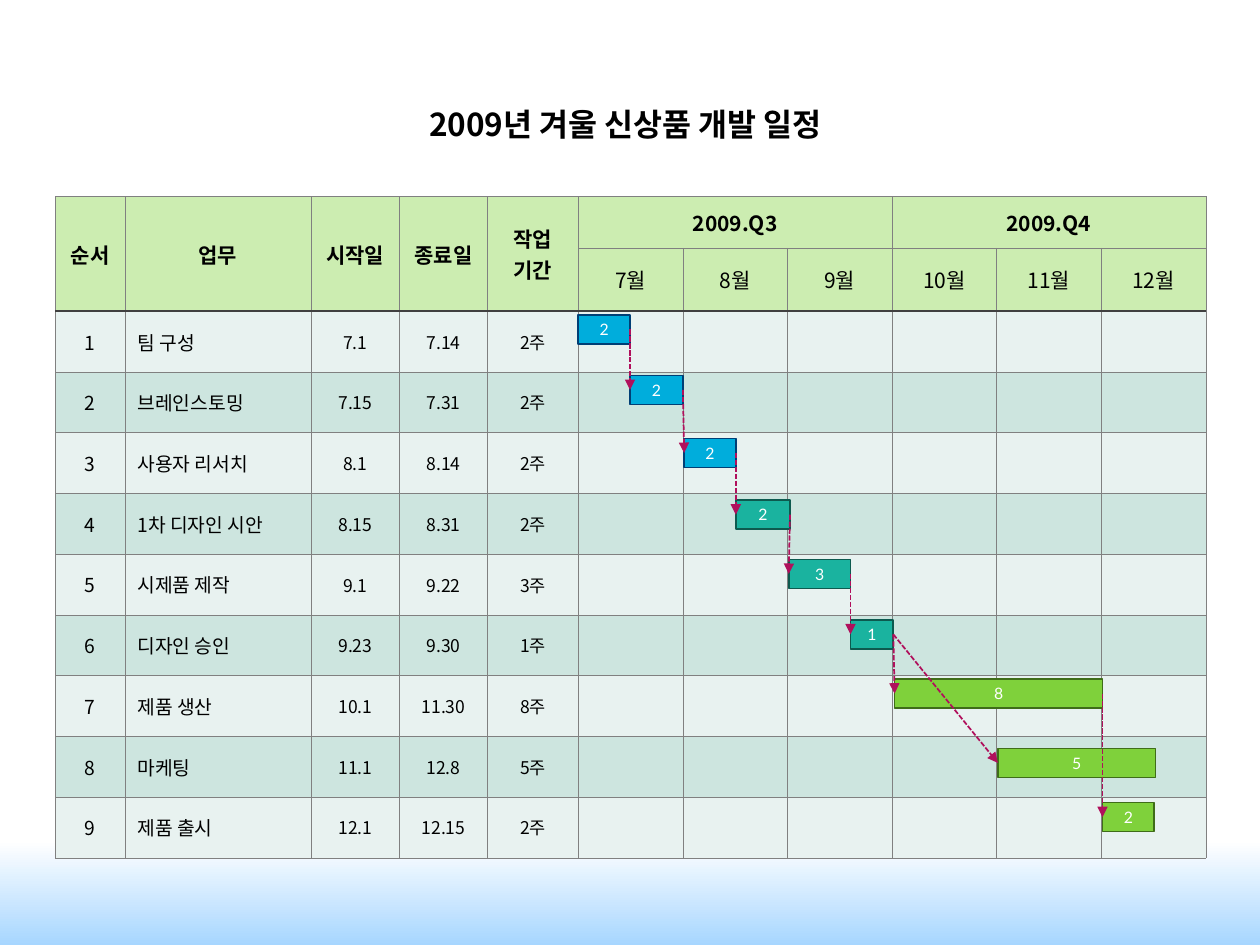
from dataclasses import dataclass
from typing import Any

from lxml import etree
from pptx import Presentation
from pptx import util as u
from pptx.dml.color import RGBColor
from pptx.enum import dml, shapes, text
from pptx.oxml import ns

COLORS = {
    "black": "000000", "white": "FFFFFF", "sky": "A7D6FF",
    "header": "CCEDB1", "light": "E8F2F0", "dark": "CDE5DF",
    "grid": "808080", "rule": "404040", "link": "B0105C",
    "plan": "00ADDC", "plan_edge": "003F75",
    "design": "1AB39F", "design_edge": "0D5A4F",
    "launch": "7FD13B", "launch_edge": "3F6D19",
}
TASKS = [
    ("팀 구성", "7.1", "7.14", 2),
    ("브레인스토밍", "7.15", "7.31", 2),
    ("사용자 리서치", "8.1", "8.14", 2),
    ("1차 디자인 시안", "8.15", "8.31", 2),
    ("시제품 제작", "9.1", "9.22", 3),
    ("디자인 승인", "9.23", "9.30", 1),
    ("제품 생산", "10.1", "11.30", 8),
    ("마케팅", "11.1", "12.8", 5),
    ("제품 출시", "12.1", "12.15", 2),
]
HEADINGS = [["순서"], ["업무"], ["시작일"], ["종료일"], ["작업", "기간"]]
QUARTERS = ["2009.Q3", "2009.Q4"]
MONTHS = ["7월", "8월", "9월", "10월", "11월", "12월"]
COLUMNS = [0.55, 1.48, 0.7, 0.7, 0.72] + [0.83] * len(MONTHS)
HEADER_ROW = 0.41
TABLE_HEIGHT = 5.16
BARS = [
    (4.59, 2.5, 0.41), (5, 2.98, 0.42), (5.43, 3.48, 0.41),
    (5.84, 3.97, 0.43), (6.26, 4.44, 0.49), (6.75, 4.92, 0.34),
    (7.1, 5.39, 1.65), (7.92, 5.94, 1.25), (8.75, 6.37, 0.41),
]
PHASES = ["plan", "design", "launch"]
LINKS = [(step, step + 1) for step in range(6)] + [(5, 7), (6, 8)]


def rgb(name):
    return RGBColor.from_string(COLORS[name])


@dataclass
class Schedule:
    page: Any
    font: str = "Noto Sans CJK KR"
    bar_font: str = "Lato"

    def background(self):
        fill = self.page.background.fill
        fill.gradient()
        fill.gradient_angle = 270
        for stop, place, color in zip(fill.gradient_stops, (0.89, 1), ("white", "sky")):
            stop.position = place
            stop.color.rgb = rgb(color)

    def add_text(self, frame, lines, size, color="black", bold=False, centered=True, font=None):
        font = font or self.font
        for index, line in enumerate(lines):
            para = frame.add_paragraph() if index else frame.paragraphs[0]
            para.alignment = text.PP_ALIGN.CENTER if centered else text.PP_ALIGN.LEFT
            span = para.add_run()
            span.text = line
            span.font.size = u.Pt(size)
            span.font.bold = bold
            span.font.name = font
            span.font.color.rgb = rgb(color)
            east = etree.SubElement(span.font._element, ns.qn("a:ea"))
            east.set("typeface", font)

    def title(self, words):
        box = self.page.shapes.title
        box.left, box.top, box.width, box.height = map(u.Inches, (2.58, 0.78, 4.77, 0.4))
        frame = box.text_frame
        frame.word_wrap = True
        frame.vertical_anchor = text.MSO_ANCHOR.TOP
        frame.auto_size = text.MSO_AUTO_SIZE.SHAPE_TO_FIT_TEXT
        self.add_text(frame, [words], 18, bold=True)

    def borders(self, cell, top, bottom):
        properties = cell._tc.get_or_add_tcPr()
        for side, color in (("L", "grid"), ("R", "grid"), ("T", top), ("B", bottom)):
            edge = etree.SubElement(properties, ns.qn(f"a:ln{side}"))
            edge.set("w", str(u.Pt(1 if color == "rule" else 0.25)))
            fill = etree.SubElement(edge, ns.qn("a:solidFill"))
            etree.SubElement(fill, ns.qn("a:srgbClr")).set("val", COLORS[color])

    def table(self):
        row_count = len(TASKS) + 2
        grid = self.page.shapes.add_table(
            row_count, len(COLUMNS), u.Inches(0.44), u.Inches(1.56),
            u.Inches(sum(COLUMNS)), u.Inches(TABLE_HEIGHT)).table
        grid.first_row = grid.horz_banding = False
        for column, width in zip(grid.columns, COLUMNS):
            column.width = u.Inches(width)
        task_row = (TABLE_HEIGHT - 2 * HEADER_ROW) / len(TASKS)
        for index, row in enumerate(grid.rows):
            row.height = u.Inches(HEADER_ROW if index < 2 else task_row)
            for column, cell in enumerate(row.cells):
                heading = index == 1 or (index == 0 and column < len(HEADINGS))
                self.borders(cell, "rule" if index == 2 else "grid",
                             "rule" if heading else "grid")
                cell.fill.solid()
                cell.fill.fore_color.rgb = rgb(
                    "header" if index < 2 else ("light", "dark")[index % 2])
                cell.vertical_anchor = text.MSO_ANCHOR.MIDDLE
        self.headings(grid)
        for index, (task, start, end, weeks) in enumerate(TASKS):
            values = [str(index + 1), task, start, end, f"{weeks}주"]
            for column, value in enumerate(values):
                self.add_text(grid.cell(index + 2, column).text_frame, [value],
                              11 if column < 2 else 10, centered=column != 1)

    def headings(self, grid):
        for column, lines in enumerate(HEADINGS):
            cell = grid.cell(0, column)
            cell.merge(grid.cell(1, column))
            self.add_text(cell.text_frame, lines, 12, bold=True)
        first = len(HEADINGS)
        for index, quarter in enumerate(QUARTERS):
            column = first + 3 * index
            cell = grid.cell(0, column)
            cell.merge(grid.cell(0, column + 2))
            self.add_text(cell.text_frame, [quarter], 12, bold=True)
        for column, month in enumerate(MONTHS, first):
            self.add_text(grid.cell(1, column).text_frame, [month], 12)

    def bar(self, left, top, width, weeks, phase):
        box = self.page.shapes.add_shape(
            shapes.MSO_SHAPE.RIGHT_ARROW, u.Inches(left), u.Inches(top),
            u.Inches(width), u.Inches(0.23))
        box.adjustments[0], box.adjustments[1] = 1, 0
        box.shadow.inherit = False
        box.fill.solid()
        box.fill.fore_color.rgb = rgb(phase)
        box.line.color.rgb = rgb(f"{phase}_edge")
        box.line.width = u.Pt(1)
        frame = box.text_frame
        frame.margin_left = frame.margin_right = frame.margin_top = frame.margin_bottom = 0
        frame.vertical_anchor = text.MSO_ANCHOR.MIDDLE
        self.add_text(frame, [str(weeks)], 9, "white", font=self.bar_font)
        return box

    def link(self, before, after):
        line = self.page.shapes.add_connector(shapes.MSO_CONNECTOR.STRAIGHT, 0, 0, 0, 0)
        line.begin_connect(before, 3)
        line.end_connect(after, 1)
        line.line.color.rgb = rgb("link")
        line.line.width = u.Pt(1)
        line.line.dash_style = dml.MSO_LINE.SQUARE_DOT
        properties = line._element.spPr
        stroke = properties.find(ns.qn("a:ln"))
        etree.SubElement(stroke, ns.qn("a:tailEnd")).set("type", "triangle")
        etree.SubElement(properties, ns.qn("a:effectLst"))


def main():
    deck = Presentation()
    deck.slide_width, deck.slide_height = u.Inches(10), u.Inches(7.5)
    schedule = Schedule(deck.slides.add_slide(deck.slide_layouts[5]))
    schedule.background()
    schedule.title("2009년 겨울 신상품 개발 일정")
    schedule.table()
    bars = [schedule.bar(*place, task[-1], PHASES[index // 3])
            for index, (place, task) in enumerate(zip(BARS, TASKS))]
    for before, after in LINKS:
        schedule.link(bars[before], bars[after])
    deck.save("out.pptx")


if __name__ == "__main__":
    main()
